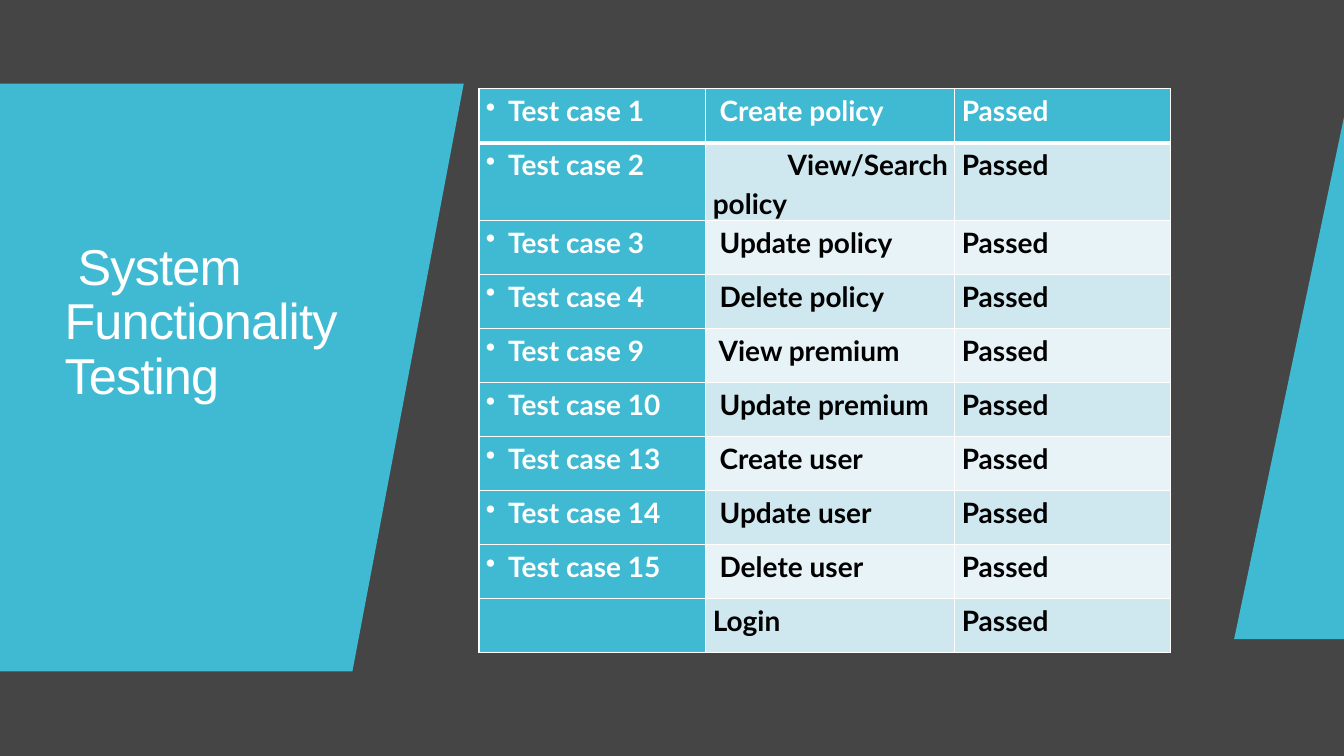
from lxml import etree
from pptx import Presentation
from pptx import util as u
from pptx.dml.color import RGBColor
from pptx.enum import text
from pptx.oxml import ns

COLORS = {
    "background": "454545",
    "accent": "40BAD2",
    "band_dark": "CFE7EE",
    "band_light": "E8F3F7",
    "white": "FFFFFF",
    "black": "000000",
}
TEST_CASES = [
    ("Test case 1", " Create policy"),
    ("Test case 2", " View/Search policy"),
    ("Test case 3", " Update policy"),
    ("Test case 4", " Delete policy"),
    ("Test case 9", " View premium"),
    ("Test case 10", " Update premium"),
    ("Test case 13", " Create user"),
    ("Test case 14", " Update user"),
    ("Test case 15", " Delete user"),
    ("", "Login"),
]
RESULT = "Passed"
COLUMN_WIDTHS = (2.25, 2.47, 2.14)


def color(name):
    return RGBColor.from_string(COLORS[name])


def add_panel(slide, box, corners):
    left, top, width, height = box
    points = [(u.Inches(left + x * width), u.Inches(top + y * height)) for x, y in corners]
    builder = slide.shapes.build_freeform(*points[0])
    builder.add_line_segments(points[1:])
    panel = builder.convert_to_shape()
    panel.shadow.inherit = False
    panel.fill.solid()
    panel.fill.fore_color.rgb = color("accent")
    panel.line.fill.background()


def add_title(slide, box):
    title = slide.shapes.title
    title.left, title.top, title.width, title.height = map(u.Inches, box)
    frame = title.text_frame
    frame.word_wrap = True
    frame.auto_size = text.MSO_AUTO_SIZE.NONE
    frame.vertical_anchor = text.MSO_ANCHOR.MIDDLE
    paragraph = frame.paragraphs[0]
    paragraph.alignment = text.PP_ALIGN.LEFT
    paragraph.line_spacing = 0.9
    paragraph.font.name = "Arial"
    paragraph.font.size = u.Pt(36)
    paragraph.font.color.rgb = color("white")
    run = paragraph.add_run()
    run.text = "\u00a0System Functionality Testing"
    run._r.get_or_add_rPr().set("spc", "-60")


def add_border(cell, side, points):
    properties = cell._tc.get_or_add_tcPr()
    line = etree.SubElement(properties, ns.qn(f"a:ln{side}"), w=str(u.Pt(points)))
    fill = etree.SubElement(line, ns.qn("a:solidFill"))
    etree.SubElement(fill, ns.qn("a:srgbClr"), val=COLORS["white"])


def add_bullet(paragraph):
    properties = paragraph._p.get_or_add_pPr()
    indent = u.Inches(0.22)
    properties.set("marL", str(indent))
    properties.set("indent", str(-indent))
    bullet = etree.Element(ns.qn("a:buChar"), char="\u2022")
    properties.find(ns.qn("a:defRPr")).addprevious(bullet)


def format_cell(cell, content, row, column):
    highlighted = row == 0 or column == 0
    for side in "LRTB":
        under_header = (row, side) in ((0, "B"), (1, "T"))
        add_border(cell, side, 3 if under_header else 1)
    band = "band_dark" if row % 2 else "band_light"
    cell.fill.solid()
    cell.fill.fore_color.rgb = color("accent" if highlighted else band)
    cell.margin_left = cell.margin_right = u.Inches(0.07)
    cell.margin_top = cell.margin_bottom = 0
    cell.text = content
    paragraph = cell.text_frame.paragraphs[0]
    paragraph.alignment = text.PP_ALIGN.JUSTIFY
    paragraph.line_spacing = 1.15
    paragraph.font.name = "Lato"
    paragraph.font.size = u.Pt(20)
    paragraph.font.bold = True
    paragraph.font.color.rgb = color("white" if highlighted else "black")
    if column == 0 and content:
        add_bullet(paragraph)


def add_results_table(slide, box):
    frame = slide.shapes.add_table(len(TEST_CASES), len(COLUMN_WIDTHS), *map(u.Inches, box))
    table = frame.table
    for column, width in zip(table.columns, COLUMN_WIDTHS):
        column.width = u.Inches(width)
    for row, (name, action) in enumerate(TEST_CASES):
        for column, content in enumerate((name, action, RESULT)):
            format_cell(table.cell(row, column), content, row, column)


def build_testing_slide(presentation):
    slide = presentation.slides.add_slide(presentation.slide_layouts[5])
    slide.background.fill.solid()
    slide.background.fill.fore_color.rgb = color("background")
    add_panel(slide, (0, 0.83, 4.6, 5.83), [(0, 0), (1, 0), (0.76, 1), (0, 1)])
    add_panel(slide, (12.24, 1.16, 1.09, 5.18), [(1, 0), (1, 1), (0, 1)])
    add_title(slide, (0.54, 1.84, 3.03, 2.74))
    slide.shapes._spTree.append(slide.shapes.title._element)
    add_results_table(slide, (4.75, 0.88, 6.86, 5.36))


presentation = Presentation()
presentation.slide_width = u.Inches(13.33)
presentation.slide_height = u.Inches(7.5)
build_testing_slide(presentation)
presentation.save("out.pptx")
